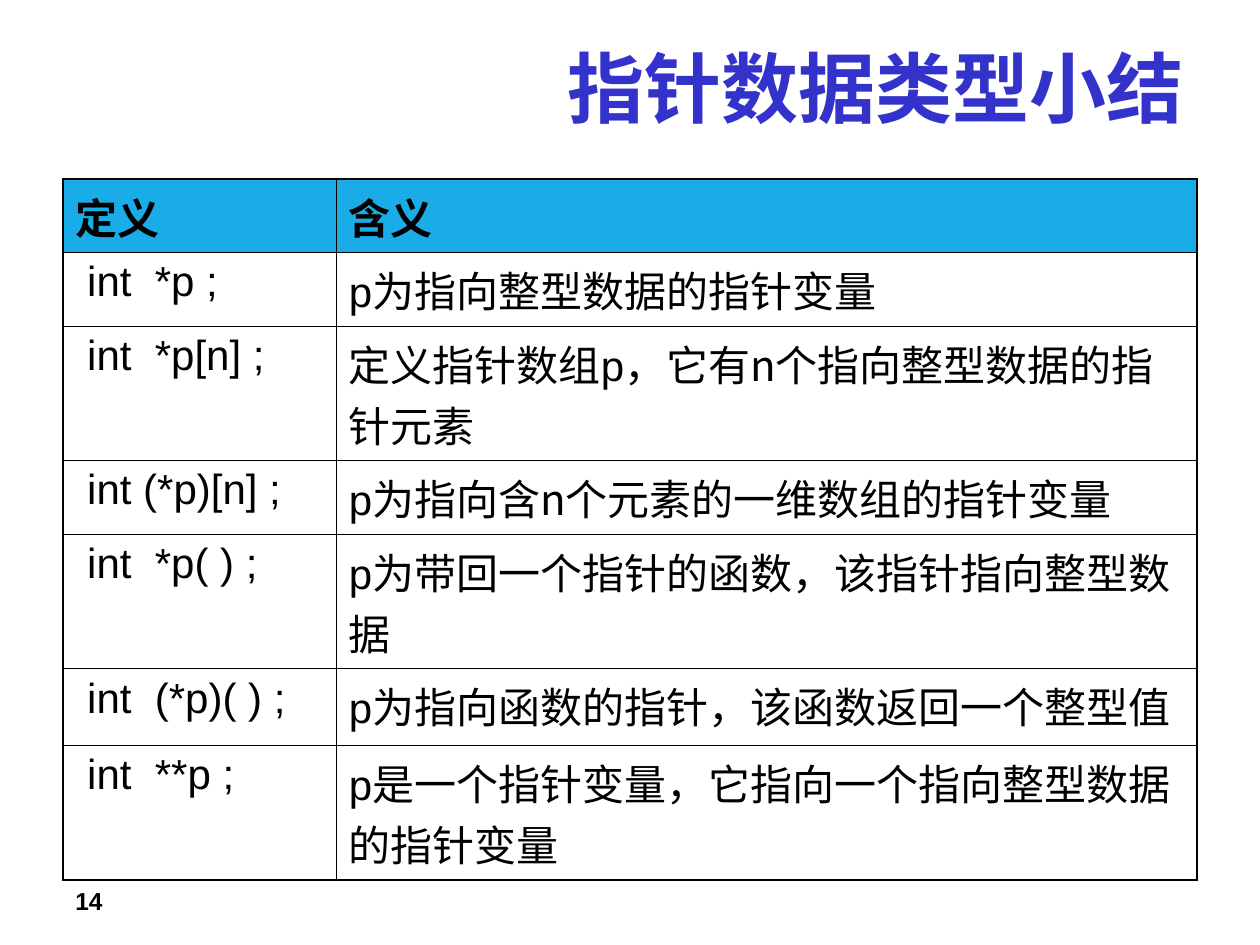
from lxml import etree
from pptx import Presentation
from pptx.dml.color import RGBColor
from pptx.enum.text import MSO_ANCHOR, MSO_AUTO_SIZE, PP_ALIGN
from pptx.oxml.ns import qn
from pptx.util import Cm, Pt

RIGHT = PP_ALIGN.RIGHT
MIDDLE = MSO_ANCHOR.MIDDLE
NO_AUTOFIT = MSO_AUTO_SIZE.NONE
TITLE_ONLY = 5

THEME = {
    "latin": "Arial",
    "chinese": "Noto Sans CJK SC",
    "ink": RGBColor.from_string("000000"),
    "title": RGBColor.from_string("3333CC"),
    "header": RGBColor.from_string("19ACE7"),
    "title_size": Pt(44),
    "table_size": Pt(24),
    "number_size": Pt(14),
    "outer_line": Pt(1.08),
    "inner_line": Pt(0.45),
}

ROWS = [
    ("定义", "含义", 1.4),
    (" int  *p ;", "p为指向整型数据的指针变量", 1.4),
    (" int  *p[n] ;", "定义指针数组p，它有n个指向整型数据的指针元素", 2.51),
    (" int (*p)[n] ;", "p为指向含n个元素的一维数组的指针变量", 1.4),
    (" int  *p( ) ;", "p为带回一个指针的函数，该指针指向整型数据", 2.51),
    (" int  (*p)( ) ;", "p为指向函数的指针，该函数返回一个整型值", 1.55),
    (" int  **p ;", "p是一个指针变量，它指向一个指向整型数据的指针变量", 2.51),
]
COLUMN_WIDTHS = [5.51, 17.35]
LEFT, WIDTH = Cm(1.27), Cm(22.86)


def add_span(para, text, size, color="ink", font="latin", bold=False):
    span = para.add_run()
    span.text = text
    values = {"name": THEME[font], "size": THEME[size], "bold": bold}
    for name, value in values.items():
        setattr(span.font, name, value)
    span.font.color.rgb = THEME[color]
    east_asian = etree.SubElement(span.font._element, qn("a:ea"))
    east_asian.set("typeface", THEME["chinese"])


def set_borders(cell, outer_sides):
    properties = cell._tc.get_or_add_tcPr()
    for index, side in enumerate("LRTB"):
        line = etree.Element(qn(f"a:ln{side}"))
        width = THEME["outer_line" if side in outer_sides else "inner_line"]
        line.set("w", str(width))
        fill = etree.SubElement(line, qn("a:solidFill"))
        etree.SubElement(fill, qn("a:srgbClr")).set("val", str(THEME["ink"]))
        properties.insert(index, line)


deck = Presentation()
deck.slide_width, deck.slide_height = Cm(25.4), Cm(19.05)
page = deck.slides.add_slide(deck.slide_layouts[TITLE_ONLY])

# Title
title = page.shapes.title
place = {"left": LEFT, "top": Cm(0.64), "width": WIDTH, "height": Cm(2.21)}
for name, value in place.items():
    setattr(title, name, value)
frame = title.text_frame
frame.auto_size = NO_AUTOFIT
frame.vertical_anchor = MIDDLE
para = frame.paragraphs[0]
para.alignment = RIGHT
add_span(para, "指针数据类型小结", "title_size", "title", bold=True)

# Table of pointer definitions
table = page.shapes.add_table(
    len(ROWS), len(COLUMN_WIDTHS), LEFT, Cm(3.61), WIDTH, Cm(13.28)
).table
table.first_row = table.horz_banding = False
for column, width in zip(table.columns, COLUMN_WIDTHS):
    column.width = Cm(width)

for row, (definition, meaning, height) in enumerate(ROWS):
    table.rows[row].height = Cm(height)
    is_header = row == 0
    vertical = "T" if is_header else "B" if row == len(ROWS) - 1 else ""
    for column, text in enumerate((definition, meaning)):
        cell = table.cell(row, column)
        para = cell.text_frame.paragraphs[0]
        if is_header or column == 0:
            add_span(para, text, "table_size", bold=is_header)
        else:
            # The pointer name is Latin, the words around it Chinese
            before, pointer, after = text.partition("p")
            parts = [(before, "chinese"), (pointer, "latin"), (after, "chinese")]
            for part, font in parts:
                if part:
                    add_span(para, part, "table_size", font=font)
        if is_header:
            cell.fill.solid()
            cell.fill.fore_color.rgb = THEME["header"]
        else:
            cell.fill.background()
        set_borders(cell, "LR"[column] + vertical)

# Page number
box = page.shapes.add_textbox(LEFT, Cm(17.73), Cm(5.92), Cm(0.61))
box.text_frame.word_wrap = True
add_span(box.text_frame.paragraphs[0], "14", "number_size", bold=True)

deck.save("out.pptx")
